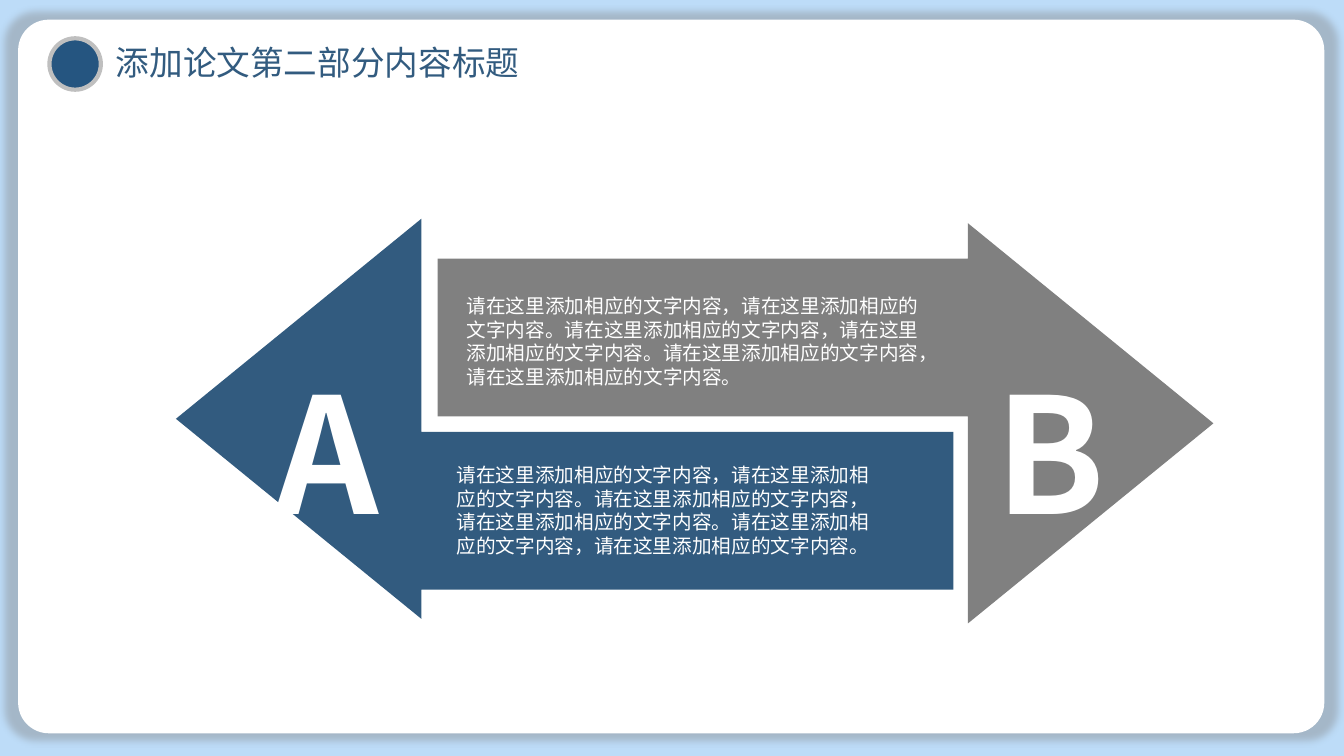
from lxml.etree import SubElement as Sub
from pptx import Presentation
from pptx.dml.color import RGBColor as Rgb
from pptx.enum.shapes import MSO_SHAPE as Kind
from pptx.enum.text import MSO_ANCHOR as Anchor, PP_ALIGN as Align
from pptx.oxml.ns import qn
from pptx.util import Emu, Pt

CELL = 9144
COLS, ROWS = 1333, 750
HUES = {"sky": "BDDCF8", "card": "FFFFFF", "dot": "255580", "ring": "BFBFBF",
        "blue": "325B7F", "gray": "808080", "text": "FFFFFF"}
SANS, HAN = "Noto Sans CJK JP", "Noto Sans CJK SC"
HALF = "请在这里添加相应的文字内容，请在这里添加相应的文字内容。"


def grid(*cells):
    """Turn grid cells into lengths."""
    return [Emu(round(n * CELL)) for n in cells]


def paint(shape, hue):
    """Give a shape a flat fill with no line or shadow."""
    shape.shadow.inherit = False
    shape.fill.solid()
    shape.fill.fore_color.rgb = Rgb.from_string(HUES[hue])
    shape.line.fill.background()


def write(shape, text, size, hue, face, pads, align=Align.LEFT, bold=False, wrap=True):
    """Write one run of text into a shape."""
    frame = shape.text_frame
    frame.word_wrap = wrap
    frame.vertical_anchor = Anchor.MIDDLE
    side, edge = grid(*pads)
    frame.margin_left = frame.margin_right = side
    frame.margin_top = frame.margin_bottom = edge
    para = frame.paragraphs[0]
    para.alignment = align
    run = para.add_run()
    run.text = text
    font = run.font
    font.size, font.bold, font.name = Pt(size), bold, face
    font.color.rgb = Rgb.from_string(HUES[hue])
    Sub(font._element, qn("a:ea"), typeface=face)


def label(slide, box, *args, **more):
    """Add a text box on the grid."""
    write(slide.shapes.add_textbox(*grid(*box)), *args, **more)


def card(slide, box):
    """Draw the rounded white page with its soft rim, behind all else."""
    page = slide.shapes.add_shape(Kind.ROUNDED_RECTANGLE, *grid(*box))
    page.adjustments[0] = 0.043
    paint(page, "card")
    glow = Sub(page._element.spPr.find(qn("a:effectLst")), qn("a:outerShdw"),
               blurRad=str(Pt(5)), sx="102000", sy="102000", algn="ctr", rotWithShape="0")
    tint = Sub(glow, qn("a:srgbClr"), val=HUES["gray"])
    Sub(tint, qn("a:alpha"), val="40000")
    slide.shapes.title._element.addprevious(page._element)


def header(slide, box, text):
    """Place the ringed dot and the title."""
    left, top, wide, high = box
    dot = slide.shapes.add_shape(Kind.OVAL, *grid(left, top + 3, 51, 51))
    paint(dot, "dot")
    dot.line.color.rgb = Rgb.from_string(HUES["ring"])
    dot.line.width = Pt(3)
    title = slide.shapes.title
    title.left, title.top, title.width, title.height = grid(left + 53, top, wide - 53, high)
    write(title, text, 24, "blue", SANS, (13, 7))


def arrow(slide, box, side, inset, hue, mark, spot, note):
    """Draw one half arrow pointing to a side, with its letter and note."""
    left, top, wide, high = box
    neck, near, far = wide - 243.5, inset, inset + 156.5
    points = [(neck, 0), (wide, high / 2), (neck, high), (neck, far), (0, far),
              (0, near), (neck, near)]
    if side < 0:
        points = [(wide - x, high - y) for x, y in points]
    points = [grid(left + x, top + y) for x, y in points]
    pen = slide.shapes.build_freeform(*points[0])
    pen.add_line_segments(points[1:])
    paint(pen.convert_to_shape(), hue)
    label(slide, (left + spot, 344.5, 128, 204), mark, 115, "text", SANS, (10, 5),
          align=Align.CENTER, bold=True, wrap=False)
    label(slide, note, HALF * 3, 14, "text", HAN, (10, 5))


def main():
    """Build the slide."""
    deck = Presentation()
    deck.slide_width, deck.slide_height = grid(COLS, ROWS)
    slide = deck.slides.add_slide(deck.slide_layouts[5])
    fill = slide.background.fill
    fill.solid()
    fill.fore_color.rgb = Rgb.from_string(HUES["sky"])
    card(slide, (18, 19.5, 1295.5, 708))
    header(slide, (49, 35, 498, 54), "添加论文第二部分内容标题")
    arrow(slide, (174.5, 217, 771, 397), -1, 29, "blue", "A", 86, (443, 454, 446, 104))
    arrow(slide, (434, 221.5, 769.5, 397), 1, 35, "gray", "B", 543.5, (453, 286.5, 471, 104))
    deck.save("out.pptx")


if __name__ == "__main__":
    main()
